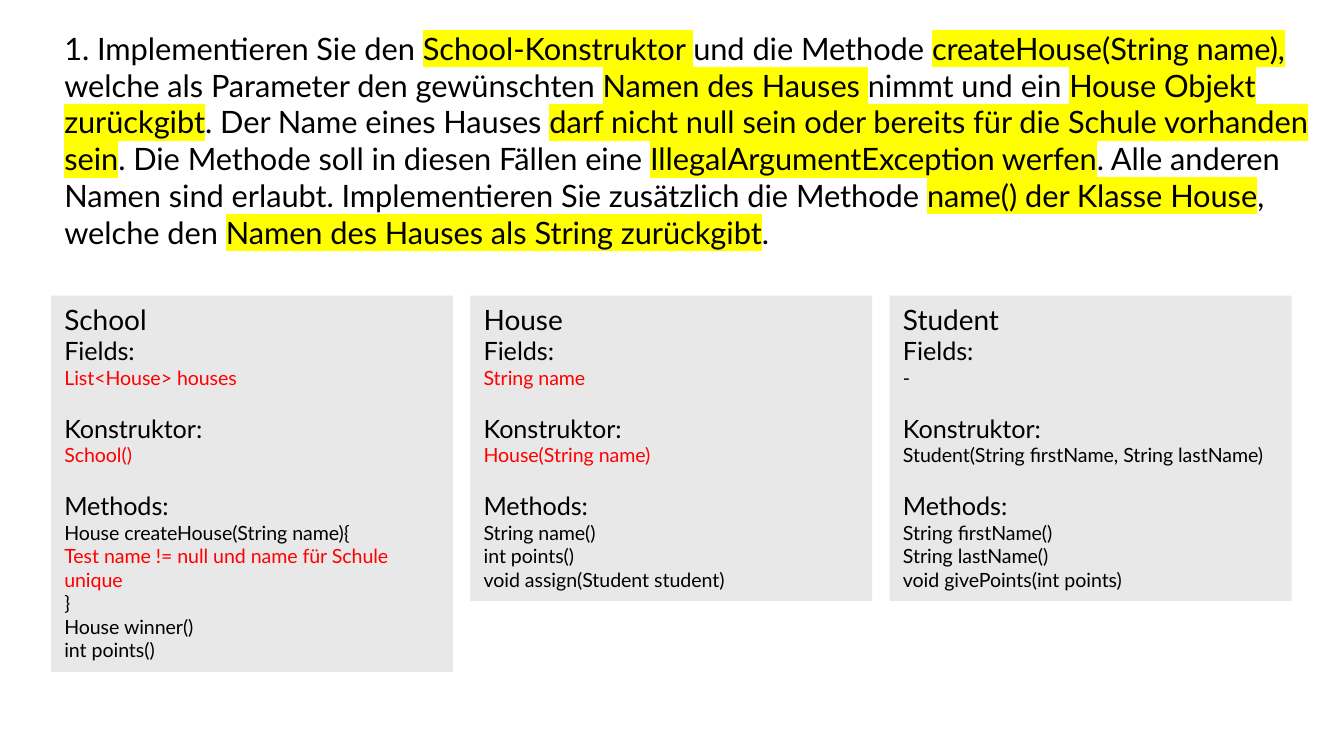
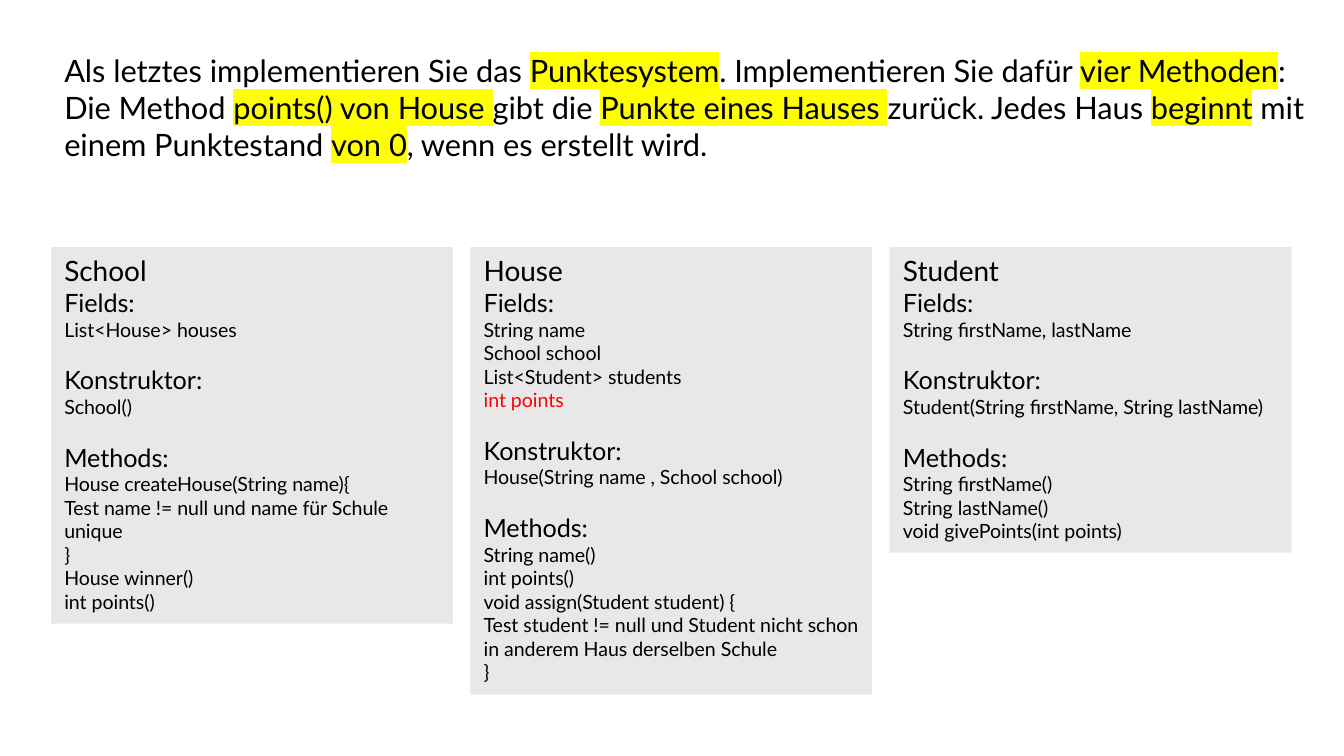
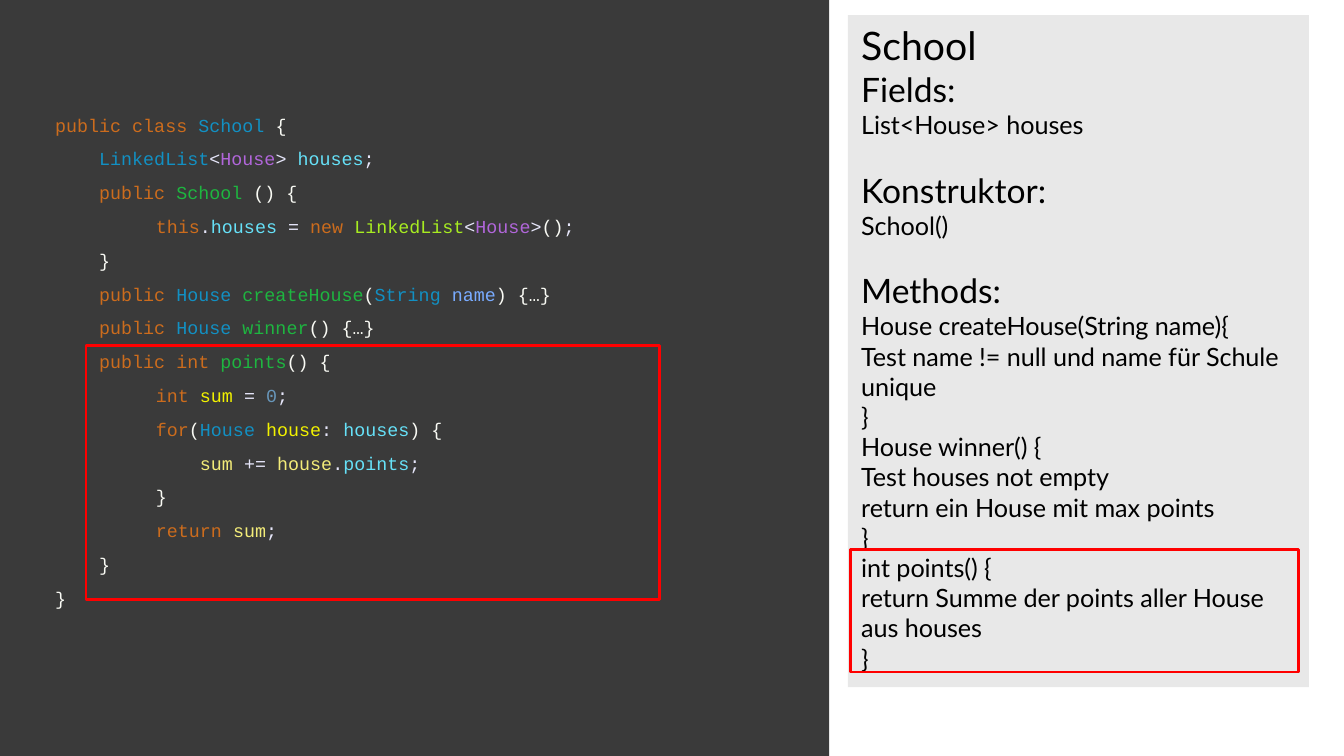
from dataclasses import dataclass, replace
from typing import NamedTuple

from lxml import etree
from pptx import Presentation
from pptx import util as u
from pptx.dml.color import RGBColor
from pptx.enum import shapes, text
from pptx.oxml import ns

WIDTH, HEIGHT = u.Inches(10), u.Inches(5.625)

# Shared colours and fonts
BLACK, RED, YELLOW = "000000", "FF0000", "FFFF00"
CARD_FILL, CODE_FILL = "E8E8E8", "3A3A3A"
LATO, MONO = "Lato", "Courier New"

# Syntax colours
KEYWORD, TYPE, BRACE, SIGN = "CC6C1D", "1290C3", "F9FAF4", "E6E6FA"
GENERIC, FIELD, METHOD, CREATED = "B166DA", "66E1F8", "1EB540", "A7EC21"
PARAM, LOCAL, LOCAL_USE, NUMBER = "79ABFF", "F2F200", "F3EC79", "6897BB"


class Box(NamedTuple):
    """Place and size in percent of the slide."""
    x: float
    y: float
    w: float
    h: float

    def emu(self) -> tuple:
        return (int(WIDTH * self.x / 100), int(HEIGHT * self.y / 100),
                int(WIDTH * self.w / 100), int(HEIGHT * self.h / 100))


class Sizes(NamedTuple):
    name: float
    heading: float
    body: float


@dataclass(frozen=True)
class ClassCard:
    name: str
    fields: tuple
    constructor: str
    methods: tuple
    height: float
    marked: tuple = ()


SMALL, LARGE = Sizes(15, 13.5, 10.5), Sizes(21, 18, 13.5)
CARD_X, CARD_W, CARD_STEP = 3.8, 29.9, 31.2

# Class cards
UNIQUE_TEST = "Test name != null und name für Schule unique"
CREATE_HOUSE = ("House createHouse(String name){", UNIQUE_TEST, "}")
SCHOOL = ClassCard("School", ("List<House> houses",), "School()",
                   CREATE_HOUSE + ("House winner()", "int points()"), 49.8)
HOUSE = ClassCard("House", ("String name",), "House(String name)",
                  ("String name()", "int points()", "void assign(Student student)"), 40.4)
STUDENT = ClassCard("Student", ("-",), "Student(String firstName, String lastName)",
                    ("String firstName()", "String lastName()", "void givePoints(int points)"),
                    40.4)

FIRST_CARDS = (
    replace(SCHOOL, marked=("List<House> houses", "School()", UNIQUE_TEST)),
    replace(HOUSE, marked=("String name", "House(String name)")),
    STUDENT,
)
POINTS_CARDS = (
    SCHOOL,
    replace(HOUSE,
            fields=("String name", "School school", "List<Student> students", "int points"),
            constructor="House(String name , School school)",
            methods=("String name()", "int points()", "void assign(Student student) {",
                     "Test student != null und Student nicht schon in anderem Haus "
                     "derselben Schule", "}"),
            height=59.2, marked=("int points",)),
    replace(STUDENT, fields=("String firstName, lastName",)),
)
SOLUTION_CARD = replace(
    SCHOOL, height=88.9,
    methods=CREATE_HOUSE + (
        "House winner() {", "Test houses not empty", "return ein House mit max points", "}",
        "int points() {", "return Summe der points aller House aus houses", "}"))

# Tasks, with highlighted parts between asterisks
FIRST_TASK = (
    "1. Implementieren Sie den *School-Konstruktor *und die Methode "
    "*createHouse(String name), *welche als Parameter den gewünschten *Namen des Hauses *"
    "nimmt und ein *House Objekt zurückgibt*. Der Name eines Hauses "
    "*darf nicht null sein oder bereits für die Schule vorhanden sein*. Die Methode soll in "
    "diesen Fällen eine *IllegalArgumentException werfen*. Alle anderen Namen sind erlaubt. "
    "Implementieren Sie zusätzlich die Methode *name() der Klasse House*, welche den "
    "*Namen des Hauses als String zurückgibt*.")
POINTS_TASK = (
    "Als letztes implementieren Sie das *Punktesystem*. Implementieren Sie dafür "
    "*vier Methoden*: Die Method *points() von House *gibt die *Punkte eines Hauses *zurück. "
    "Jedes Haus *beginnt* mit einem Punktestand *von 0*, wenn es erstellt wird.")

# Code lines as pairs of text and colour
CODE = (
    (("public class ", KEYWORD), ("School ", TYPE), ("{", BRACE)),
    (("    LinkedList", TYPE), ("<", SIGN), ("House", GENERIC), ("> ", SIGN),
     ("houses", FIELD), (";", SIGN)),
    (("    public ", KEYWORD), ("School ", METHOD), ("() {", BRACE)),
    (("\tthis", KEYWORD), (".", SIGN), ("houses ", FIELD), ("= ", SIGN), ("new ", KEYWORD),
     ("LinkedList", CREATED), ("<", SIGN), ("House", GENERIC), (">", SIGN), ("()", BRACE),
     (";", SIGN)),
    (("    }", BRACE),),
    (("    public ", KEYWORD), ("House ", TYPE), ("createHouse", METHOD), ("(", BRACE),
     ("String ", TYPE), ("name", PARAM), (") {…}", BRACE)),
    (("    public ", KEYWORD), ("House ", TYPE), ("winner", METHOD), ("() {…}", BRACE)),
    (("    public int ", KEYWORD), ("points", METHOD), ("() {", BRACE)),
    (("\tint ", KEYWORD), ("sum ", LOCAL), ("= ", SIGN), ("0", NUMBER), (";", SIGN)),
    (("\tfor", KEYWORD), ("(", BRACE), ("House ", TYPE), ("house", LOCAL), (": ", SIGN),
     ("houses", FIELD), (") {", BRACE)),
    (("\t    sum ", LOCAL_USE), ("+= ", SIGN), ("house", LOCAL_USE), (".", SIGN),
     ("points", FIELD), (";", SIGN)),
    (("\t}", BRACE),),
    (("\treturn ", KEYWORD), ("sum", LOCAL_USE), (";", SIGN)),
    (("    }", BRACE),),
    (("}", BRACE),),
)


def rgb(color: str) -> RGBColor:
    return RGBColor.from_string(color)


def add_run(p, content: str, *, size: float, color: str = BLACK, font: str = LATO,
            highlight: str = "") -> None:
    r = p.add_run()
    r.text = content
    r.font.size = u.Pt(size)
    r.font.color.rgb = rgb(color)
    if highlight:
        mark = etree.SubElement(r.font._element, ns.qn("a:highlight"))
        etree.SubElement(mark, ns.qn("a:srgbClr"), val=highlight)
    r.font.name = font


def next_paragraph(tf, before: float = 0):
    """Return the empty first paragraph, or a new one with space before it."""
    if not tf.paragraphs[0].runs:
        return tf.paragraphs[0]
    p = tf.add_paragraph()
    p.space_before = u.Pt(before)
    return p


def add_rect(s, box: Box, fill: str = "", line: str = ""):
    sp = s.shapes.add_shape(shapes.MSO_SHAPE.RECTANGLE, *box.emu())
    sp.shadow.inherit = False
    if fill:
        sp.fill.solid()
        sp.fill.fore_color.rgb = rgb(fill)
    else:
        sp.fill.background()
    if line:
        sp.line.color.rgb = rgb(line)
        sp.line.width = u.Pt(1.5)
    else:
        sp.line.fill.background()
    return sp


def add_textbox(s, box: Box):
    tf = s.shapes.add_textbox(*box.emu()).text_frame
    tf.word_wrap = True
    return tf


def add_card(s, card: ClassCard, x: float, y: float, w: float, sizes: Sizes) -> None:
    tf = add_rect(s, Box(x, y, w, card.height), fill=CARD_FILL).text_frame
    tf.word_wrap = True
    tf.auto_size = text.MSO_AUTO_SIZE.SHAPE_TO_FIT_TEXT
    tf.vertical_anchor = text.MSO_ANCHOR.TOP
    add_run(next_paragraph(tf), card.name, size=sizes.name)
    sections = (("Fields:", card.fields, 0),
                ("Konstruktor:", (card.constructor,), 1.2 * sizes.body),
                ("Methods:", card.methods, 1.2 * sizes.body))
    for heading, lines, gap in sections:
        add_run(next_paragraph(tf, gap), heading, size=sizes.heading)
        for line in lines:
            add_run(next_paragraph(tf), line, size=sizes.body,
                    color=RED if line in card.marked else BLACK)
    for p in tf.paragraphs:
        p.alignment = text.PP_ALIGN.LEFT


def add_task(s, box: Box, task: str) -> None:
    p = add_textbox(s, box).paragraphs[0]
    for i, part in enumerate(task.split("*")):
        add_run(p, part, size=16.5, highlight=YELLOW if i % 2 else "")


def add_code(s, box: Box) -> None:
    tf = add_textbox(s, box)
    tf.vertical_anchor = text.MSO_ANCHOR.MIDDLE
    tf.margin_left = tf.margin_right = u.Inches(0.07)
    tf.margin_top, tf.margin_bottom = u.Inches(0.32), u.Inches(0.04)
    for line in CODE:
        p = next_paragraph(tf, 7.5)
        p.line_spacing = 0.9
        tabs = etree.SubElement(p._p.get_or_add_pPr(), ns.qn("a:tabLst"))
        etree.SubElement(tabs, ns.qn("a:tab"), pos=str(u.Inches(0.75)), algn="l")
        for content, color in line:
            add_run(p, content, size=9.8, color=color, font=MONO)


def main() -> None:
    prs = Presentation()
    prs.slide_width, prs.slide_height = WIDTH, HEIGHT
    blank = prs.slide_layouts[6]

    # Task slides: three class cards below the task
    for task, task_box, cards, cards_y in (
            (FIRST_TASK, Box(CARD_X, 3, 94.9, 31.5), FIRST_CARDS, 39.1),
            (POINTS_TASK, Box(CARD_X, 6, 94.9, 16.5), POINTS_CARDS, 32.7)):
        s = prs.slides.add_slide(blank)
        for column, card in enumerate(cards):
            add_card(s, card, CARD_X + column * CARD_STEP, cards_y, CARD_W, SMALL)
        add_task(s, task_box, task)

    # Solution slide: code, class card and red frames
    s = prs.slides.add_slide(blank)
    add_rect(s, Box(-0.7, -0.9, 62.4, 102.8), fill=CODE_FILL)
    add_code(s, Box(3.4, 8.9, 54.3, 73.2))
    add_card(s, SOLUTION_CARD, 63.1, 2, 34.3, LARGE)
    for frame in (Box(63.3, 72.7, 33.3, 16.2), Box(6.4, 45.7, 42.7, 33.6)):
        add_rect(s, frame, line=RED)

    prs.save("out.pptx")


if __name__ == "__main__":
    main()
